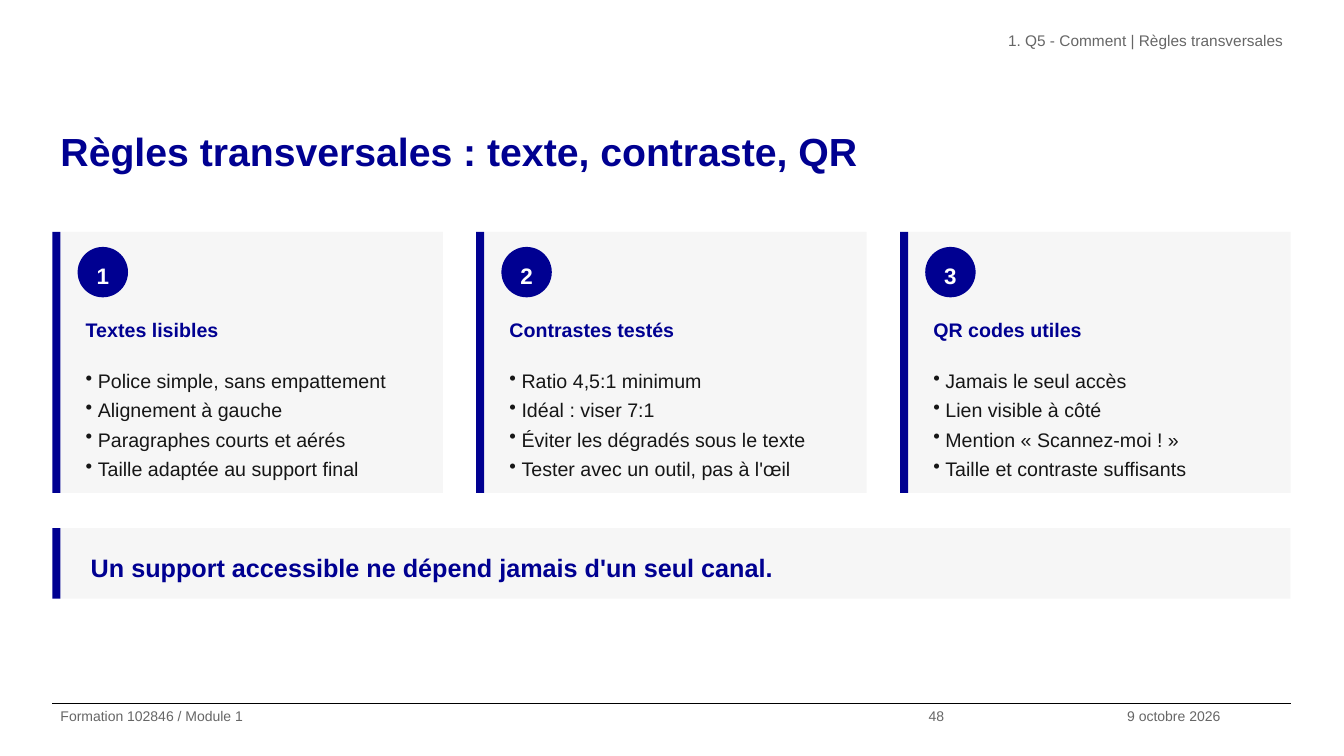
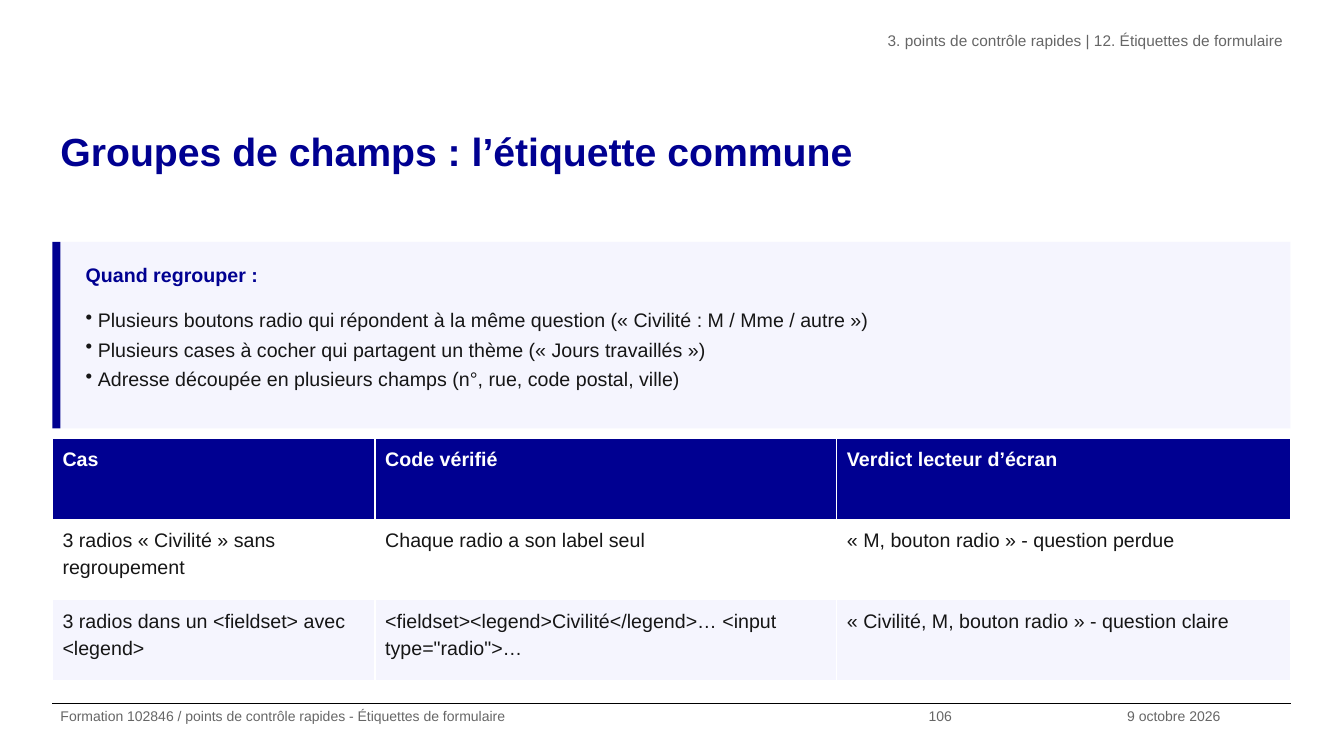
from typing import NamedTuple

from lxml import etree
from pptx import Presentation
from pptx.dml.color import RGBColor
from pptx.enum import shapes, text
from pptx.oxml import ns
from pptx.util import Inches, Pt

# Shared style
BLUE = RGBColor(0x00, 0x00, 0x91)
INK = RGBColor(0x16, 0x16, 0x16)
MUTED = RGBColor(0x66, 0x66, 0x66)
BLACK = RGBColor(0x00, 0x00, 0x00)
WHITE = RGBColor(0xFF, 0xFF, 0xFF)
GREY_PANEL = RGBColor(0xF6, 0xF6, 0xF6)
BLUE_PANEL = RGBColor(0xF5, 0xF5, 0xFE)
FONT = "Arial"
LINE_SPACING = 1.25
LEFT, CONTENT_WIDTH = 0.52, 12.28
ACCENT_WIDTH = 0.08
BULLET_INDENT = 0.12
FOOTER_TOP = 6.98
DATE = "9 octobre 2026"


class Box(NamedTuple):
    left: float
    top: float
    width: float
    height: float

    def emu(self):
        return [Inches(length) for length in self]


# Building blocks
def add_bullet(paragraph):
    properties = paragraph._p.get_or_add_pPr()
    properties.set("marL", str(Inches(BULLET_INDENT)))
    properties.set("indent", str(-Inches(BULLET_INDENT)))
    etree.SubElement(properties, ns.qn("a:buChar")).set("char", "•")


def write(frame, lines, size, color, bold=False, align=text.PP_ALIGN.LEFT, bullets=False):
    for index, line in enumerate(lines):
        paragraph = frame.add_paragraph() if index else frame.paragraphs[0]
        if bullets:
            add_bullet(paragraph)
        paragraph.alignment = align
        paragraph.line_spacing = LINE_SPACING
        run = paragraph.add_run()
        run.text = line
        run.font.name = FONT
        run.font.size = Pt(size)
        run.font.bold = bold
        run.font.color.rgb = color


def set_margins(frame, vertical):
    frame.margin_left = frame.margin_right = Inches(0.08)
    frame.margin_top = frame.margin_bottom = Inches(vertical)


def add_text(slide, box, lines, size, color, margin=0.05,
             anchor=text.MSO_ANCHOR.TOP, **style):
    frame = slide.shapes.add_textbox(*box.emu()).text_frame
    frame.word_wrap = True
    frame.vertical_anchor = anchor
    set_margins(frame, margin)
    write(frame, lines, size, color, **style)


def add_filled(slide, kind, box, color):
    shape = slide.shapes.add_shape(kind, *box.emu())
    shape.shadow.inherit = False
    shape.fill.solid()
    shape.fill.fore_color.rgb = color
    shape.line.fill.background()
    return shape


def add_panel(slide, box, fill):
    """Tinted panel with a blue accent along its left edge."""
    rectangle = shapes.MSO_SHAPE.RECTANGLE
    body = box._replace(left=box.left + ACCENT_WIDTH, width=box.width - ACCENT_WIDTH)
    add_filled(slide, rectangle, body, fill)
    add_filled(slide, rectangle, box._replace(width=ACCENT_WIDTH), BLUE)


# Frame common to all slides
def add_framed_slide(deck, title, breadcrumb, footer, number):
    slide = deck.slides.add_slide(deck.slide_layouts[6])
    rule = slide.shapes.add_connector(
        shapes.MSO_CONNECTOR.STRAIGHT, Inches(LEFT), Inches(FOOTER_TOP),
        Inches(LEFT + CONTENT_WIDTH), Inches(FOOTER_TOP))
    rule.line.color.rgb = BLACK
    rule.line.width = Pt(0.8)
    etree.SubElement(rule._element.spPr, ns.qn("a:effectLst"))

    add_text(slide, Box(LEFT, 1.15, CONTENT_WIDTH, 1.05), [title], 28, BLUE,
             margin=0, bold=True)
    add_text(slide, Box(4.83, 0.26, 7.98, 0.52), [breadcrumb], 11, MUTED,
             margin=0, align=text.PP_ALIGN.RIGHT)
    for left, width, label in ((LEFT, 8.61, footer), (9.13, 1.97, number), (11.1, 1.71, DATE)):
        add_text(slide, Box(left, FOOTER_TOP, width, 0.52), [label], 10, MUTED, margin=0)
    return slide


# Regions
def add_rule_card(slide, box, number, heading, points):
    add_panel(slide, box, GREY_PANEL)
    inner_left, inner_width = box.left + 0.25, box.width - 0.4
    badge = add_filled(slide, shapes.MSO_SHAPE.OVAL,
                       Box(inner_left, box.top + 0.15, 0.5, 0.5), BLUE)
    set_margins(badge.text_frame, 0.05)
    badge.text_frame.vertical_anchor = text.MSO_ANCHOR.MIDDLE
    write(badge.text_frame, [str(number)], 16, WHITE, bold=True, align=text.PP_ALIGN.CENTER)
    add_text(slide, Box(inner_left, box.top + 0.75, inner_width, 0.45),
             [heading], 14, BLUE, bold=True)
    add_text(slide, Box(inner_left, box.top + 1.25, inner_width, 1.24),
             points, 14, INK, bullets=True)


def add_rule_cards(slide, box, cards, gap=0.33):
    width = (box.width - gap * (len(cards) - 1)) / len(cards)
    for index, (heading, points) in enumerate(cards):
        card_box = box._replace(left=box.left + index * (width + gap), width=width)
        add_rule_card(slide, card_box, index + 1, heading, points)


def add_key_message(slide, box, message):
    add_panel(slide, box, GREY_PANEL)
    add_text(slide, Box(box.left + 0.3, box.top + 0.1, box.width - 0.4, box.height - 0.2),
             [message], 18, BLUE, bold=True, anchor=text.MSO_ANCHOR.MIDDLE)


def add_criteria(slide, box, heading, points):
    add_panel(slide, box, BLUE_PANEL)
    inner_left, inner_width = box.left + 0.25, box.width - 0.35
    add_text(slide, Box(inner_left, box.top + 0.1, inner_width, 0.35),
             [heading], 14, BLUE, bold=True)
    add_text(slide, Box(inner_left, box.top + 0.55, inner_width, box.height - 0.65),
             points, 14, INK, bullets=True)


def add_case_table(slide, box, column_widths, rows):
    table = slide.shapes.add_table(len(rows), len(column_widths), *box.emu()).table
    for column, width in zip(table.columns, column_widths):
        column.width = Inches(width)
    for row_index, values in enumerate(rows):
        header = row_index == 0
        fill = BLUE if header else (BLUE_PANEL, WHITE)[row_index % 2]
        for column_index, value in enumerate(values):
            cell = table.cell(row_index, column_index)
            cell.fill.solid()
            cell.fill.fore_color.rgb = fill
            write(cell.text_frame, [value], 14, WHITE if header else INK, bold=header)


# Slides
def build_rules_slide(deck):
    slide = add_framed_slide(
        deck, "Règles transversales : texte, contraste, QR",
        "1. Q5 - Comment | Règles transversales", "Formation 102846 / Module 1", "48")
    add_rule_cards(slide, Box(LEFT, 2.3, CONTENT_WIDTH, 2.59), [
        ("Textes lisibles", [
            "Police simple, sans empattement", "Alignement à gauche",
            "Paragraphes courts et aérés", "Taille adaptée au support final"]),
        ("Contrastes testés", [
            "Ratio 4,5:1 minimum", "Idéal : viser 7:1",
            "Éviter les dégradés sous le texte", "Tester avec un outil, pas à l'œil"]),
        ("QR codes utiles", [
            "Jamais le seul accès", "Lien visible à côté",
            "Mention « Scannez-moi ! »", "Taille et contraste suffisants"]),
    ])
    add_key_message(slide, Box(LEFT, 5.24, CONTENT_WIDTH, 0.7),
                    "Un support accessible ne dépend jamais d'un seul canal.")


def build_field_groups_slide(deck):
    slide = add_framed_slide(
        deck, "Groupes de champs : l’étiquette commune",
        "3. points de contrôle rapides | 12. Étiquettes de formulaire",
        "Formation 102846 / points de contrôle rapides - Étiquettes de formulaire", "106")
    add_criteria(slide, Box(LEFT, 2.4, CONTENT_WIDTH, 1.85), "Quand regrouper :", [
        "Plusieurs boutons radio qui répondent à la même question (« Civilité : M / Mme / autre »)",
        "Plusieurs cases à cocher qui partagent un thème (« Jours travaillés »)",
        "Adresse découpée en plusieurs champs (n°, rue, code postal, ville)"])
    add_case_table(slide, Box(LEFT, 4.35, CONTENT_WIDTH, 2.4), (3.2, 4.58, 4.5), [
        ("Cas", "Code vérifié", "Verdict lecteur d’écran"),
        ("3 radios « Civilité » sans regroupement", "Chaque radio a son label seul",
         "« M, bouton radio » - question perdue"),
        ("3 radios dans un <fieldset> avec <legend>",
         '<fieldset><legend>Civilité</legend>… <input type="radio">…',
         "« Civilité, M, bouton radio » - question claire"),
    ])


def main():
    deck = Presentation()
    deck.slide_width, deck.slide_height = Inches(13.33), Inches(7.5)
    build_rules_slide(deck)
    build_field_groups_slide(deck)
    deck.save("out.pptx")


if __name__ == "__main__":
    main()
